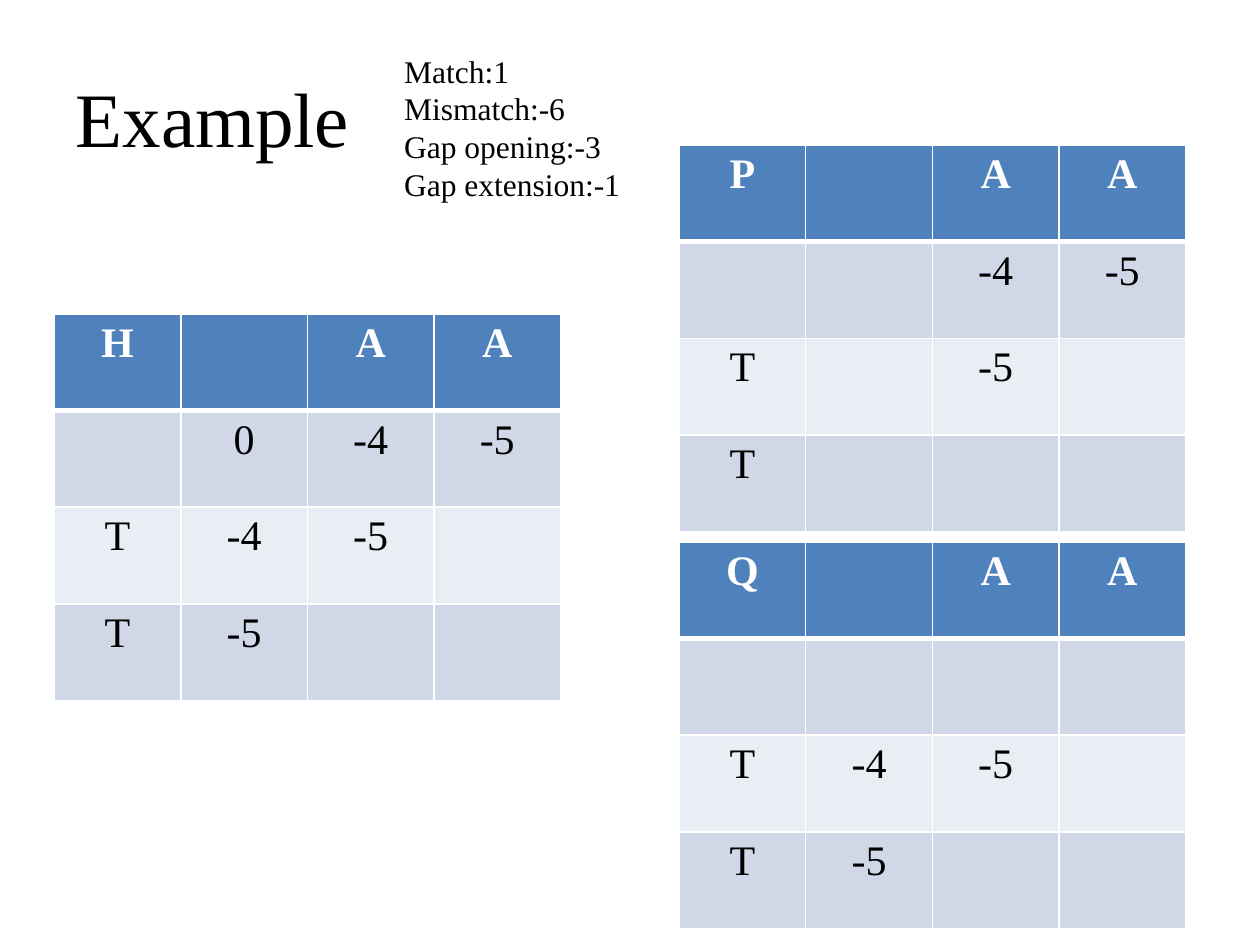
import pptx
import pptx.dml.color
import pptx.enum.text
import pptx.oxml
import pptx.oxml.ns
import pptx.util

Inches, Pt = pptx.util.Inches, pptx.util.Pt
ALIGN, ANCHOR = pptx.enum.text.PP_ALIGN, pptx.enum.text.MSO_ANCHOR

TITLE = "Example"
SCORES = ["Match:1", "Mismatch:-6", "Gap opening:-3", "Gap extension:-1"]
MATRICES = [
    (0.43, 2.49, [["H", "", "A", "A"], ["", "0", "-4", "-5"],
                  ["T", "-4", "-5", ""], ["T", "-5", "", ""]]),
    (5.39, 1.15, [["P", "", "A", "A"], ["", "", "-4", "-5"],
                  ["T", "", "-5", ""], ["T", "", "", ""]]),
    (5.39, 4.3, [["Q", "", "A", "A"], ["", "", "", ""],
                 ["T", "-4", "-5", ""], ["T", "-5", "", ""]]),
]
WIDTH, HEIGHT = 4.02, 3.07
FONT = "Times New Roman"
COLORS = {"text": "000000", "white": "FFFFFF", "header": "4F81BD",
          "odd": "D0D8E8", "even": "E9EDF4"}


def rgb(name):
    return pptx.dml.color.RGBColor.from_string(COLORS[name])


def write(tf, text, size=18, color="text", bold=False, align=ALIGN.LEFT):
    for i, line in enumerate(text.split("\n")):
        p = tf.add_paragraph() if i else tf.paragraphs[0]
        p.alignment = align
        if line:
            r = p.add_run()
            r.text = line
            r.font.name, r.font.size, r.font.bold = FONT, Pt(size), bold
            r.font.color.rgb = rgb(color)


def add_borders(cell, **widths):
    tc_pr = cell._tc.get_or_add_tcPr()
    for i, side in enumerate("LRTB"):
        tc_pr.insert(i, pptx.oxml.parse_xml(
            f'<a:ln{side} {pptx.oxml.ns.nsdecls("a")} w="{Pt(widths.get(side, 1))}">'
            f'<a:solidFill><a:srgbClr val="{COLORS["white"]}"/></a:solidFill>'
            f'</a:ln{side}>'))


def add_matrix(s, left, top, rows):
    n, m = len(rows), len(rows[0])
    table = s.shapes.add_table(n, m, Inches(left), Inches(top),
                               Inches(WIDTH), Inches(HEIGHT)).table
    for i, row in enumerate(rows):
        fill = "header" if i == 0 else "odd" if i % 2 else "even"
        for j, text in enumerate(row):
            cell = table.cell(i, j)
            cell.fill.solid()
            cell.fill.fore_color.rgb = rgb(fill)
            write(cell.text_frame, text, size=24, bold=i == 0,
                  color="text" if i else "white", align=ALIGN.CENTER)
            add_borders(cell, T=3 if i == 1 else 1, B=3 if i == 0 else 1)


def main():
    """Build the slide with the scores and the three alignment matrices."""
    prs = pptx.Presentation()
    prs.slide_width, prs.slide_height = Inches(10), Inches(7.5)
    s = prs.slides.add_slide(prs.slide_layouts[5])

    title = s.shapes.title
    title.left, title.top = Inches(0.5), Inches(0.3)
    title.width, title.height = Inches(9), Inches(1.25)
    title.text_frame.vertical_anchor = ANCHOR.MIDDLE
    write(title.text_frame, TITLE, size=44)

    tf = s.shapes.add_textbox(Inches(3.11), Inches(0.36),
                              Inches(1.93), Inches(1.31)).text_frame
    tf.word_wrap = False
    tf.auto_size = pptx.enum.text.MSO_AUTO_SIZE.SHAPE_TO_FIT_TEXT
    write(tf, "\n".join(SCORES))

    for left, top, rows in MATRICES:
        add_matrix(s, left, top, rows)
    prs.save("out.pptx")


if __name__ == "__main__":
    main()
